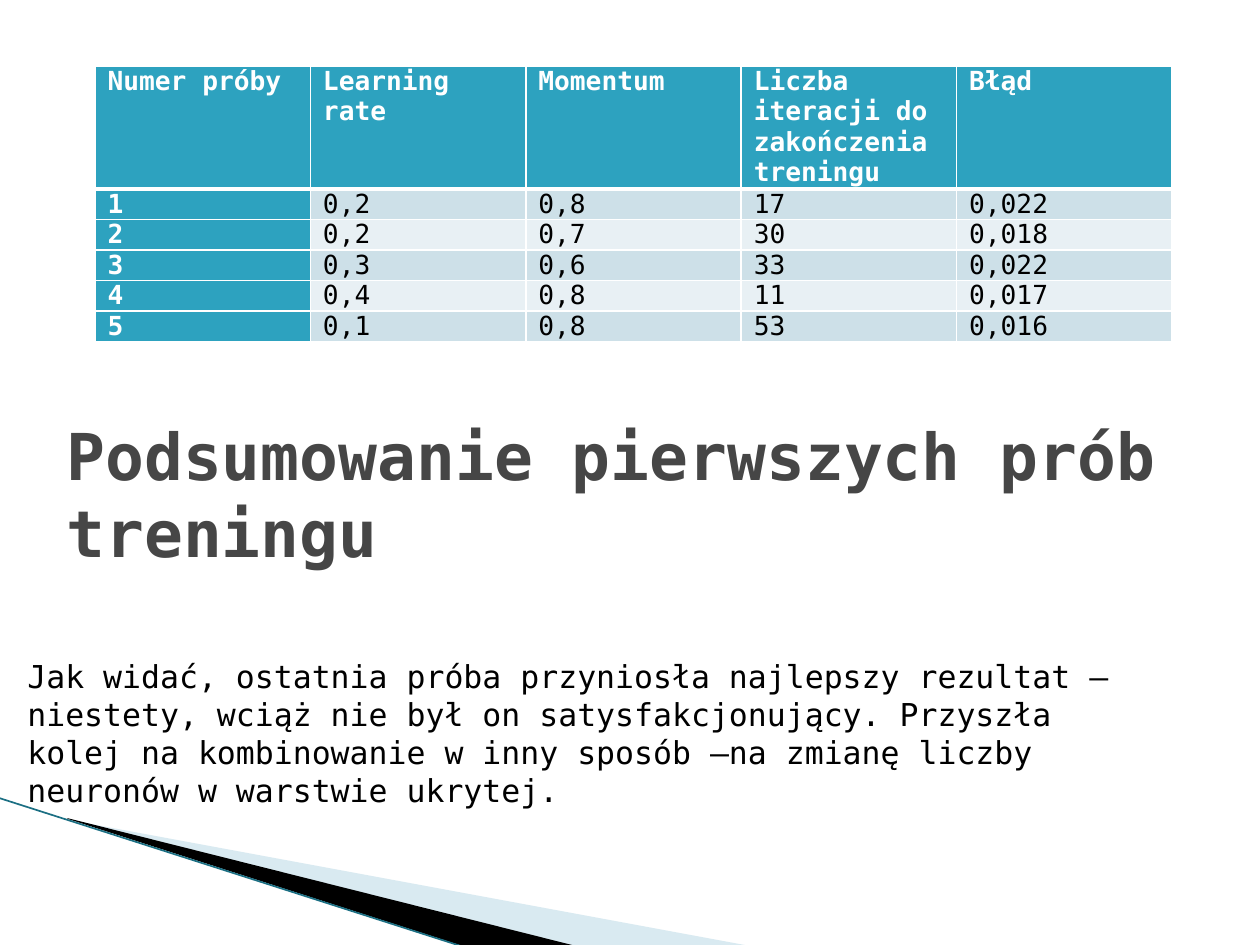
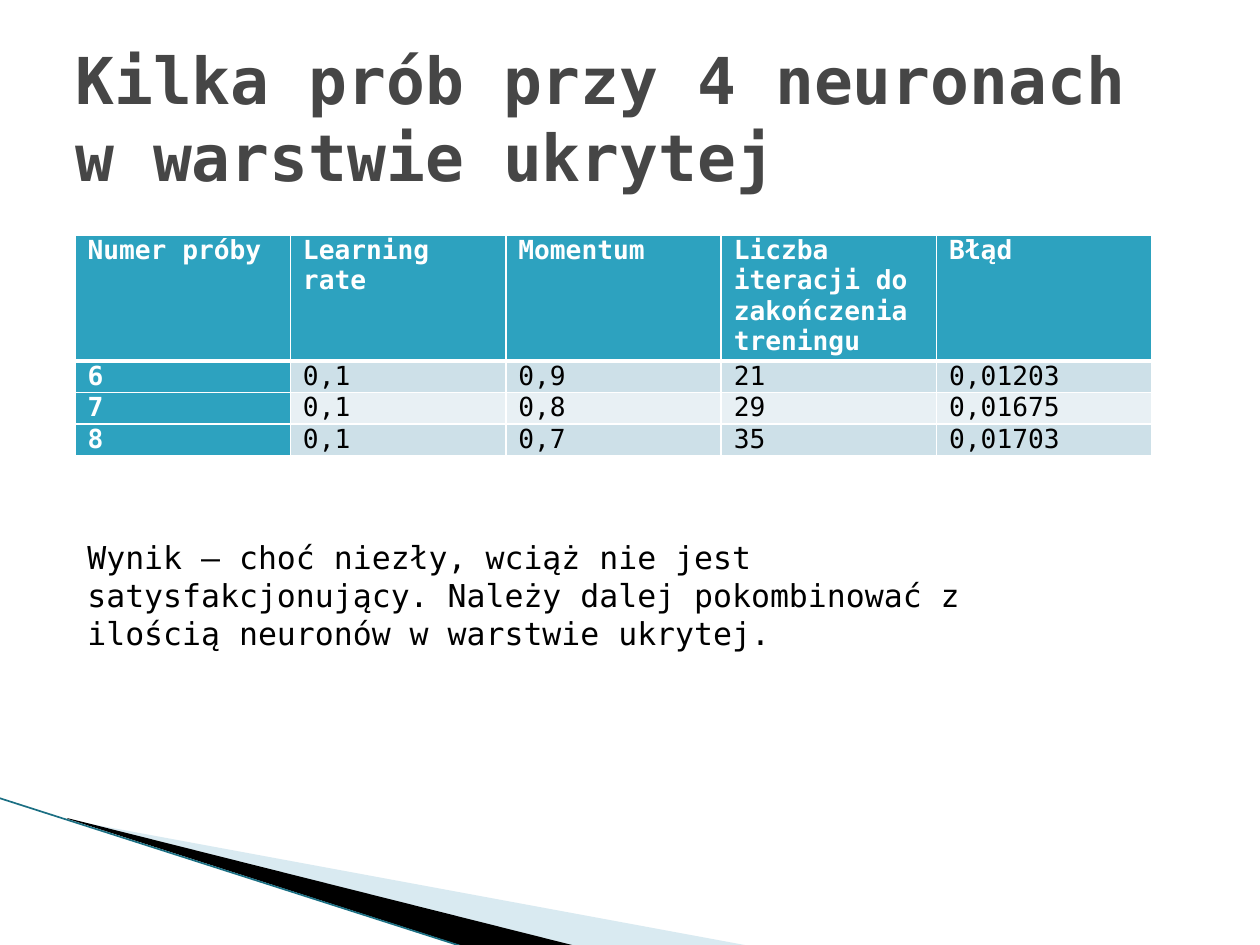
from lxml import etree
from pptx import Presentation
from pptx import util as u
from pptx.dml import color
from pptx.enum import shapes, text
from pptx.oxml import ns

PX = u.Inches(1) / 126
FONT = "DejaVu Sans Mono"
COLORS = {
    "title": "464646", "body": "000000", "white": "FFFFFF",
    "accent": "2DA2BF", "band_dark": "CDE0E8", "band_light": "E8F0F4",
    "wedge_pale": "A0CBDC", "wedge_black": "000000", "edge": "1B6F83",
}
FORMATS = {
    "title": {"size": u.Pt(36.9), "bold": True, "color": "title"},
    "body": {"size": u.Pt(18), "bold": False, "color": "body"},
    "heading": {"size": u.Pt(15), "bold": True, "color": "white"},
    "value": {"size": u.Pt(15), "bold": False, "color": "body"},
}
HEADINGS = ["Numer próby", "Learning rate", "Momentum",
            "Liczba iteracji do zakończenia treningu", "Błąd"]
FIRST_TRIALS = [
    ["1", "0,2", "0,8", "17", "0,022"],
    ["2", "0,2", "0,7", "30", "0,018"],
    ["3", "0,3", "0,6", "33", "0,022"],
    ["4", "0,4", "0,8", "11", "0,017"],
    ["5", "0,1", "0,8", "53", "0,016"],
]
FOUR_NEURON_TRIALS = [
    ["6", "0,1", "0,9", "21", "0,01203"],
    ["7", "0,1", "0,8", "29", "0,01675"],
    ["8", "0,1", "0,7", "35", "0,01703"],
]
TABLE_WIDTH, HEADER_HEIGHT, ROW_HEIGHT = 1077, 123, 30


def px(*lengths):
    return [u.Emu(round(length * PX)) for length in lengths]


def rgb(name):
    return color.RGBColor.from_string(COLORS[name])


# Text
def write(frame, words, style):
    run = frame.paragraphs[0].add_run()
    run.text = words
    run.font.name = FONT
    for name, value in FORMATS[style].items():
        if name == "color":
            run.font.color.rgb = rgb(value)
        else:
            setattr(run.font, name, value)


def add_text(slide, box, words, style, anchor=text.MSO_ANCHOR.TOP):
    frame = slide.shapes.add_textbox(*px(*box)).text_frame
    frame.word_wrap = True
    frame.vertical_anchor = anchor
    write(frame, words, style)


def add_title(slide, left, top, words):
    add_text(slide, (left, top, 1134, 158), words, "title", text.MSO_ANCHOR.MIDDLE)


# Corner decoration
def add_wedge(slide, points, fill, opacity=100):
    builder = slide.shapes.build_freeform(*points[0], scale=PX)
    builder.add_line_segments(points[1:], close=True)
    shape = builder.convert_to_shape()
    shape.shadow.inherit = False
    shape.line.fill.background()
    shape.fill.solid()
    shape.fill.fore_color.rgb = rgb(fill)
    if opacity < 100:
        tint = shape.fill._xPr.find(".//" + ns.qn("a:srgbClr"))
        etree.SubElement(tint, ns.qn("a:alpha"), val=str(opacity * 1000))


def add_edge(slide, start, end):
    edge = slide.shapes.add_connector(shapes.MSO_CONNECTOR.STRAIGHT, *px(*start, *end))
    edge.line.color.rgb = rgb("edge")
    edge.line.width = u.Pt(0.95)
    etree.SubElement(edge._element.spPr, ns.qn("a:effectLst"))


def add_corner(slide):
    add_wedge(slide, [(69, 820), (750, 946), (575, 946), (69, 819)], "wedge_pale", 40)
    add_wedge(slide, [(67, 818), (576, 946), (469, 948), (68, 819)], "wedge_black")
    add_edge(slide, (-1, 798), (467, 948))


# Trial table
def set_borders(cell, widths):
    properties = cell._tc.get_or_add_tcPr()
    for index, (side, width) in enumerate(widths.items()):
        border = etree.Element(ns.qn("a:ln" + side), w=str(u.Pt(width)))
        fill = etree.SubElement(border, ns.qn("a:solidFill"))
        etree.SubElement(fill, ns.qn("a:srgbClr"), val=COLORS["white"])
        properties.insert(index, border)


def fill_cell(cell, words, row, column):
    heading = row == 0 or column == 0
    band = "band_dark" if row % 2 else "band_light"
    cell.margin_top = cell.margin_bottom = 0
    cell.fill.solid()
    cell.fill.fore_color.rgb = rgb("accent" if heading else band)
    write(cell.text_frame, words, "heading" if heading else "value")
    set_borders(cell, {"L": 1, "R": 1, "T": 3 if row == 1 else 1, "B": 3 if row == 0 else 1})


def add_trials(slide, left, top, trials):
    rows = [HEADINGS] + trials
    height = HEADER_HEIGHT + ROW_HEIGHT * len(trials)
    table = slide.shapes.add_table(
        len(rows), len(HEADINGS), *px(left, top, TABLE_WIDTH, height)).table
    for row, values in enumerate(rows):
        table.rows[row].height = px(ROW_HEIGHT if row else HEADER_HEIGHT)[0]
        for column, words in enumerate(values):
            fill_cell(table.cell(row, column), words, row, column)


def add_slide(presentation):
    slide = presentation.slides.add_slide(presentation.slide_layouts[6])
    add_corner(slide)
    return slide


def main():
    presentation = Presentation()
    presentation.slide_width, presentation.slide_height = px(1260, 945)

    # Summary of the first trials
    slide = add_slide(presentation)
    add_trials(slide, 95, 66, FIRST_TRIALS)
    add_title(slide, 54, 414, "Podsumowanie pierwszych prób treningu")
    add_text(slide, (15, 651, 1131, 127),
             "Jak widać, ostatnia próba przyniosła najlepszy rezultat – niestety, "
             "wciąż nie był on satysfakcjonujący. Przyszła kolej na kombinowanie "
             "w inny sposób –na zmianę liczby neuronów w warstwie ukrytej.", "body")

    # Trials with four neurons
    slide = add_slide(presentation)
    add_title(slide, 63, 38, "Kilka prób przy 4 neuronach w warstwie ukrytej")
    add_trials(slide, 75, 235, FOUR_NEURON_TRIALS)
    add_text(slide, (75, 532, 932, 127),
             "Wynik – choć niezły, wciąż nie jest satysfakcjonujący. Należy dalej "
             "pokombinować z ilością neuronów w warstwie ukrytej.", "body")

    presentation.save("out.pptx")


if __name__ == "__main__":
    main()
